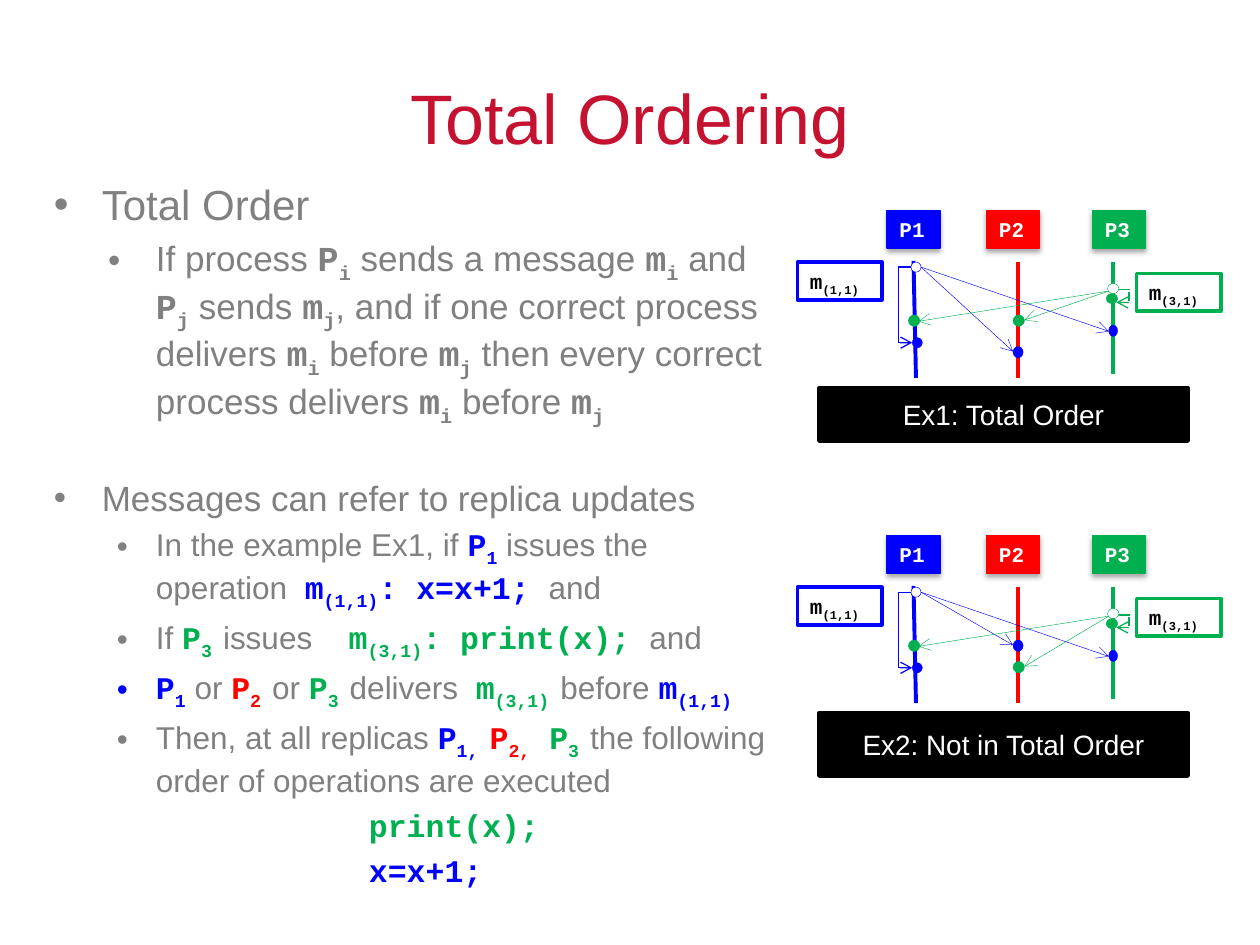
from lxml import etree
from pptx import Presentation
from pptx.dml.color import RGBColor
from pptx.enum.shapes import MSO_CONNECTOR, MSO_SHAPE
from pptx.enum.text import MSO_ANCHOR, PP_ALIGN
from pptx.oxml import parse_xml
from pptx.oxml.ns import nsdecls, qn
from pptx.util import Inches, Pt

RECT, OVAL = MSO_SHAPE.RECTANGLE, MSO_SHAPE.OVAL
LINE = MSO_CONNECTOR.STRAIGHT
MIDDLE, TOP = MSO_ANCHOR.MIDDLE, MSO_ANCHOR.TOP
CENTER, LEFT = PP_ALIGN.CENTER, PP_ALIGN.LEFT

BLUE = RGBColor(0x00, 0x00, 0xFF)
RED = RGBColor(0xFF, 0x00, 0x00)
GREEN = RGBColor(0x00, 0xB0, 0x50)
GREY = RGBColor(0x80, 0x80, 0x80)
TITLE = RGBColor(0xC4, 0x12, 0x30)
BLACK = RGBColor(0x00, 0x00, 0x00)
WHITE = RGBColor(0xFF, 0xFF, 0xFF)
SANS, MONO = "Arial", "Courier New"

SHADOW = (f'<a:effectLst {nsdecls("a")}><a:outerShdw blurRad="39370" dist="22860" '
          'dir="5400000" rotWithShape="0"><a:srgbClr val="000000">'
          '<a:alpha val="35000"/></a:srgbClr></a:outerShdw></a:effectLst>')


def write(para, parts, size):
    """Add plain strings in grey, and (code, colour) pairs whose
    underscores switch the subscript on and off."""
    para.font.size = Pt(size)
    for part in parts:
        code = isinstance(part, tuple)
        text, color = part if code else (part, GREY)
        for i, piece in enumerate(text.split("_") if code else [text]):
            run = para.add_run()
            run.text = piece
            run.font.name = MONO if code else SANS
            run.font.bold = code
            run.font.color.rgb = color
            if i % 2:
                run.font._element.set("baseline", "-25000")


def draw(shapes, kind, at, fill, edge, width):
    shape = shapes.add_shape(kind, *map(Inches, at))
    shape.shadow.inherit = False
    shape.fill.solid()
    shape.fill.fore_color.rgb = fill
    shape.line.color.rgb = edge
    shape.line.width = Pt(width)
    frame = shape.text_frame
    frame.word_wrap = True
    frame.vertical_anchor = TOP
    frame.paragraphs[0].alignment = LEFT
    return shape


prs = Presentation()
prs.slide_width, prs.slide_height = Inches(10), Inches(7.5)
slide = prs.slides.add_slide(prs.slide_layouts[6])

# Title
frame = slide.shapes.add_textbox(Inches(0.5), Inches(0.3), Inches(9), Inches(1.25)).text_frame
frame.word_wrap = True
frame.vertical_anchor = MIDDLE
para = frame.paragraphs[0]
para.text = "Total Ordering"
para.alignment = CENTER
para.font.name, para.font.size = SANS, Pt(40)
para.font.color.rgb = TITLE

# Body: size, space before, indent, hanging bullet (0 for none), text
body = [
    (24, 0, 0.38, 0.38, ["Total Order"]),
    (20, 4, 0.81, 0.38, [
        "If process ", ("P_i", GREY), " sends a message ", ("m_i", GREY), " and ",
        ("P_j", GREY), " sends ", ("m_j", GREY),
        ", and if one correct process delivers ", ("m_i", GREY), " before ",
        ("m_j", GREY), " then every correct process delivers ", ("m_i", GREY),
        " before ", ("m_j", GREY)]),
    (20, 28, 0.38, 0.38, ["Messages can refer to replica updates"]),
    (18, 4, 0.81, 0.31, [
        "In the example Ex1, if ", ("P_1", BLUE), " issues the operation  ",
        ("m_(1,1)_: x=x+1; ", BLUE), "and"]),
    (18, 4, 0.81, 0.31, [
        "If ", ("P_3 ", GREEN), "issues  ", (" m_(3,1)_: print(x); ", GREEN), "and"]),
    (18, 4, 0.81, 0.31, [
        ("P_1", BLUE), " or ", ("P_2 ", RED), "or ", ("P_3 ", GREEN), "delivers  ",
        ("m_(3,1) ", GREEN), "before ", ("m_(1,1)", BLUE)]),
    (18, 4, 0.81, 0.31, [
        "Then, at all replicas ", ("P_1, ", BLUE), ("P_2,", RED), (" P_3 ", GREEN),
        "the following order of operations are executed"]),
    (18, 4, 2.5, 0, [("print(x);", GREEN)]),
    (18, 4, 2.5, 0, [("x=x+1;", BLUE)]),
]
# The issues line needs one mono space only where the code begins
frame = slide.shapes.add_textbox(Inches(0.33), Inches(1.37), Inches(6), Inches(5.88)).text_frame
frame.word_wrap = True
for i, (size, gap, left, hang, parts) in enumerate(body):
    para = frame.add_paragraph() if i else frame.paragraphs[0]
    para.space_before = Pt(gap)
    props = para._p.get_or_add_pPr()
    props.set("marL", str(Inches(left)))
    props.set("indent", str(-Inches(hang)))
    if hang:
        etree.SubElement(props, qn("a:buFont")).set("typeface", SANS)
        etree.SubElement(props, qn("a:buChar")).set("char", "•")
    write(para, parts, size)

# Diagrams: offset, blue and green dot on P2, caption and its height
diagrams = [
    (0, 2.75, 2.5, "Ex1: Total Order", 0.42),
    (2.58, 2.5, 2.67, "Ex2: Not in Total Order", 0.5),
]
for down, blue, green, caption, high in diagrams:
    shapes = slide.shapes.add_group_shape().shapes

    for name, x, color in [("P1", 7.04, BLUE), ("P2", 7.83, RED), ("P3", 8.67, GREEN)]:
        head = draw(shapes, RECT, (x, 1.67 + down, 0.42, 0.3), color, color, 0.75)
        write(head.text_frame.paragraphs[0], [(name, WHITE)], 12)
        props = head._element.spPr
        props.remove(props.find(qn("a:effectLst")))
        props.append(parse_xml(SHADOW))

    for name, x, y, color in [("m_(1,1)", 6.33, 2.08, BLUE), ("m_(3,1)", 9.02, 2.17, GREEN)]:
        label = draw(shapes, RECT, (x, y + down, 0.67, 0.3), WHITE, color, 2)
        write(label.text_frame.paragraphs[0], [(name, BLACK)], 12)

    # Start, end, colour, width, arrow at the end
    lines = [
        (8.83, 2.08, 8.83, 2.97, GREEN, 2.25, False),
        (8.08, 2.08, 8.08, 3, RED, 2.25, False),
        (7.25, 2.07, 7.27, 3, BLUE, 2.25, False),
        (7.31, 2.12, 8.04, blue + 0.04, BLUE, 0.25, True),
        (7.31, 2.12, 8.8, 2.63, BLUE, 0.25, True),
        (8.8, 2.31, 8.13, green + 0.04, GREEN, 0.25, True),
        (8.8, 2.31, 7.29, 2.55, GREEN, 0.25, True),
        (7.13, 2.12, 7.23, 2.12, BLUE, 0.75, False),
        (7.13, 2.12, 7.13, 2.72, BLUE, 0.75, False),
        (7.13, 2.72, 7.24, 2.72, BLUE, 0.75, True),
        (8.87, 2.3, 8.97, 2.3, GREEN, 0.75, False),
        (8.96, 2.32, 8.96, 2.39, GREEN, 0.75, False),
        (8.96, 2.4, 8.86, 2.4, GREEN, 0.75, True),
    ]
    for x1, y1, x2, y2, color, width, arrow in lines:
        line = shapes.add_connector(LINE, Inches(x1), Inches(y1 + down),
                                    Inches(x2), Inches(y2 + down))
        line.line.color.rgb = color
        line.line.width = Pt(width)
        if arrow:
            etree.SubElement(line.line._get_or_add_ln(), qn("a:tailEnd")).set("type", "arrow")
        etree.SubElement(line._element.spPr, qn("a:effectLst"))

    dots = [
        (7.23, 2.08, 0.08, 0.08, WHITE, BLUE),
        (8.79, 2.25, 0.09, 0.08, WHITE, GREEN),
        (8.04, blue, 0.08, 0.09, BLUE, BLUE),
        (8.04, green, 0.09, 0.09, GREEN, GREEN),
        (7.21, 2.5, 0.09, 0.09, GREEN, GREEN),
        (8.8, 2.58, 0.07, 0.09, BLUE, BLUE),
        (7.24, 2.68, 0.08, 0.08, BLUE, BLUE),
        (8.78, 2.33, 0.09, 0.08, GREEN, GREEN),
    ]
    for x, y, wide, tall, fill, edge in dots:
        draw(shapes, OVAL, (x, y + down, wide, tall), fill, edge, 0.25)

    panel = draw(shapes, RECT, (6.5, 3.08 + down, 2.93, high), BLACK, BLACK, 2)
    panel.text_frame.vertical_anchor = MIDDLE
    para = panel.text_frame.paragraphs[0]
    para.text = caption
    para.alignment = CENTER
    para.font.name, para.font.size = SANS, Pt(16)
    para.font.color.rgb = WHITE

prs.save("out.pptx")
